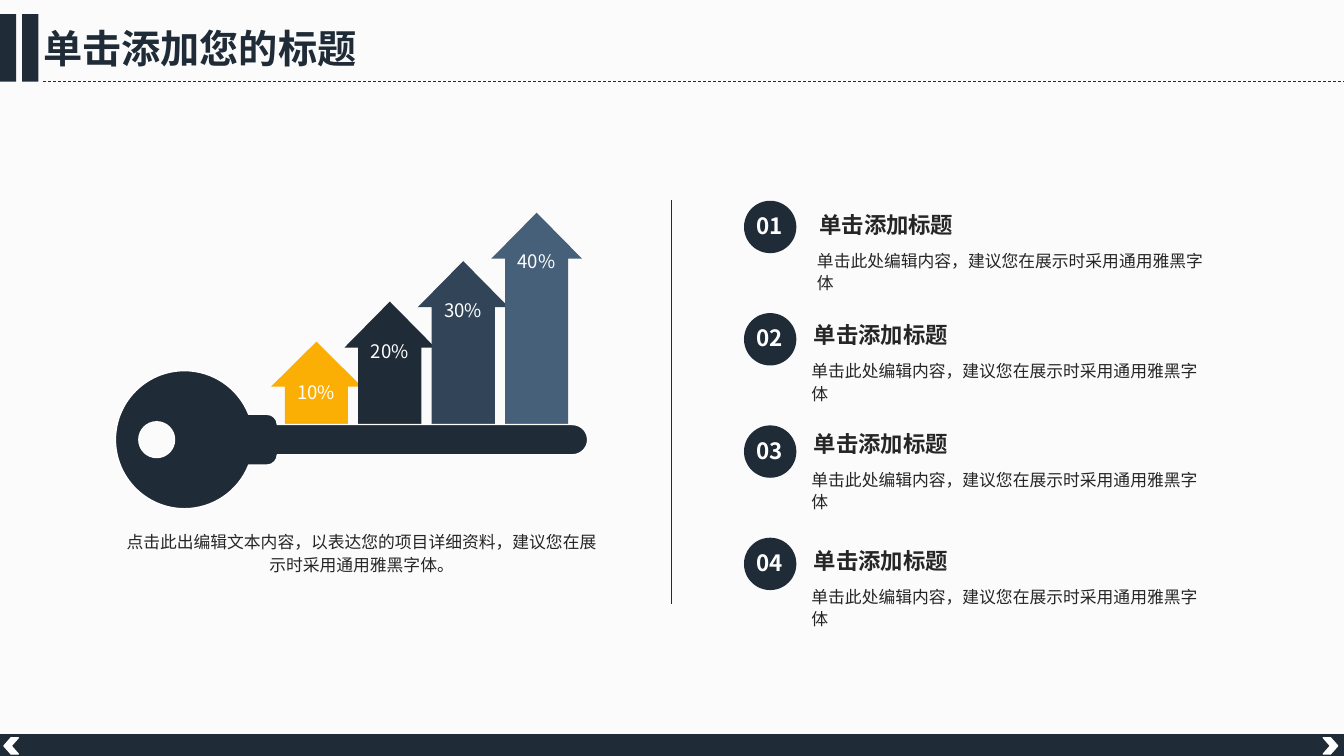
from math import asin, cos, degrees, radians, sin, tan

from lxml import etree
from pptx import Presentation
from pptx.dml.color import RGBColor
from pptx.enum.dml import MSO_LINE
from pptx.enum.shapes import MSO_CONNECTOR, MSO_SHAPE
from pptx.enum.text import MSO_ANCHOR, PP_ALIGN
from pptx.oxml.ns import qn
from pptx.util import Cm, Pt

NAVY = RGBColor(0x1F, 0x2B, 0x37)
SLATE = RGBColor(0x32, 0x45, 0x58)
STEEL = RGBColor(0x46, 0x60, 0x7A)
AMBER = RGBColor(0xFB, 0xAE, 0x03)
WHITE = RGBColor(0xFF, 0xFF, 0xFF)
PAPER = RGBColor(0xFB, 0xFB, 0xFB)
INK = RGBColor(0x26, 0x26, 0x26)
FONT = "Noto Sans CJK SC"
RECTANGLE, OVAL = MSO_SHAPE.RECTANGLE, MSO_SHAPE.OVAL
CHEVRON, UP_ARROW = MSO_SHAPE.CHEVRON, MSO_SHAPE.UP_ARROW
STRAIGHT, DASH = MSO_CONNECTOR.STRAIGHT, MSO_LINE.DASH
LEFT, CENTER = PP_ALIGN.LEFT, PP_ALIGN.CENTER
TOP, MIDDLE = MSO_ANCHOR.TOP, MSO_ANCHOR.MIDDLE

deck = Presentation()
deck.slide_width, deck.slide_height = Cm(33.87), Cm(19.05)
page = deck.slides.add_slide(deck.slide_layouts[6])
shapes = page.shapes


def add_solid(kind, left, top, width, height, color):
    shape = shapes.add_shape(kind, Cm(left), Cm(top), Cm(width), Cm(height))
    shape.shadow.inherit = False
    shape.fill.solid()
    shape.fill.fore_color.rgb = color
    shape.line.fill.background()
    return shape


def add_text(left, top, width, height, text, size, color, bold=False,
             align=LEFT, anchor=TOP, insets=(0, 0), spacing=None):
    """Add a box with one styled paragraph; insets are horizontal, vertical in cm."""
    frame = shapes.add_textbox(Cm(left), Cm(top), Cm(width), Cm(height)).text_frame
    frame.word_wrap = True
    frame.vertical_anchor = anchor
    frame.margin_left = frame.margin_right = Cm(insets[0])
    frame.margin_top = frame.margin_bottom = Cm(insets[1])
    para = frame.paragraphs[0]
    para.text = text
    para.alignment = align
    if spacing:
        para.line_spacing = spacing
    para.font.size, para.font.bold, para.font.name = Pt(size), bold, FONT
    para.font.color.rgb = color
    defaults = para._p.pPr.find(qn("a:defRPr"))
    etree.SubElement(defaults, qn("a:ea")).set("typeface", FONT)


# Backdrop, title bar and footer
add_solid(RECTANGLE, 0, 0, 33.87, 19.05, PAPER)
for left in (0, 0.56):
    add_solid(RECTANGLE, left, 0.36, 0.41, 1.7, NAVY)
add_text(0.84, 0.48, 10.36, 1.45, "单击添加您的标题", 28, NAVY, bold=True,
         insets=(0.25, 0.13))
add_solid(RECTANGLE, 0, 18.5, 33.87, 0.55, NAVY)
for left, rotation in ((33.35, 0), (0.1, 180)):
    chevron = add_solid(CHEVRON, left, 18.59, 0.36, 0.41, WHITE)
    chevron.rotation = rotation
    chevron.line.color.rgb = WHITE
    chevron.line.width = Pt(1)

# Dashed title rule and column divider
for x1, y1, x2, y2, weight, dash in (
    (1.09, 2.06, 33.87, 2.06, 0.5, DASH),
    (16.93, 5.05, 16.93, 15.21, 0.75, None),
):
    rule = shapes.add_connector(STRAIGHT, Cm(x1), Cm(y1), Cm(x2), Cm(y2))
    rule.line.color.rgb = NAVY
    rule.line.width = Pt(weight)
    rule.line.dash_style = dash
    etree.SubElement(rule._element.spPr, qn("a:effectLst"))

# Growth arrows standing on the key
ARROW_WIDTH, ARROW_PITCH, ARROW_BASE = 2.29, 1.85, 10.85
arrows = (("10%", 2.24, AMBER, 9.6), ("20%", 3.25, NAVY, 8.57),
          ("30%", 4.27, SLATE, 7.54), ("40%", 5.49, STEEL, 6.3))
for index, (_, height, color, _) in enumerate(arrows):
    arrow = add_solid(UP_ARROW, 6.83 + index * ARROW_PITCH, ARROW_BASE - height,
                      ARROW_WIDTH, height, color)
    arrow.adjustments[0], arrow.adjustments[1] = 0.695, 0.507

# Key: collar corner, shaft tip, collar corner, bow; then the hole
KEY_Y, BOW_X, BOW_RADIUS, SHAFT_HALF, CORNER = 11.08, 4.65, 1.74, 0.38, 0.26
HOLE_X, HOLE_RADIUS = 3.95, 0.45
neck = degrees(asin((SHAFT_HALF + CORNER) / BOW_RADIUS))
arcs = [  # centre x, centre y, radius, start and end angle
    (6.73, KEY_Y - SHAFT_HALF, CORNER, -90, 0),
    (14.43, KEY_Y, SHAFT_HALF, -90, 0),
    (14.43, KEY_Y, SHAFT_HALF, 0, 90),
    (6.73, KEY_Y + SHAFT_HALF, CORNER, 0, 90),
    (BOW_X, KEY_Y, BOW_RADIUS, neck, 90),
    (BOW_X, KEY_Y, BOW_RADIUS, 90, 180),
    (BOW_X, KEY_Y, BOW_RADIUS, 180, 270),
    (BOW_X, KEY_Y, BOW_RADIUS, 270, 360 - neck),
]
arcs += [(HOLE_X, KEY_Y, HOLE_RADIUS, start, start - 90)
         for start in (360, 270, 180, 90)]
points = []
for x, y, radius, start, end in arcs:
    first, last = radians(start), radians(end)
    pull = 4 / 3 * tan((last - first) / 4)
    for angle, reach in ((first, 0), (first, pull), (last, -pull), (last, 0)):
        points.append((Cm(x + radius * (cos(angle) - reach * sin(angle))),
                       Cm(y + radius * (sin(angle) + reach * cos(angle)))))
outline, hole = points[:-16], points[-16:]
builder = shapes.build_freeform(*outline[0])
builder.add_line_segments(outline[1:], close=True)
builder.move_to(*hole[0])
builder.add_line_segments(hole[1:], close=True)
key = builder.convert_to_shape()
key.shadow.inherit = False
key.fill.solid()
key.fill.fore_color.rgb = NAVY
key.line.color.rgb = WHITE
key.line.width = Pt(1)

# Every arc is a start node and three nodes that become one Bezier curve
nodes = list(key._element.iter(qn("a:moveTo"), qn("a:lnTo")))
for first in range(0, len(nodes), 4):
    curve = etree.Element(qn("a:cubicBezTo"))
    nodes[first].addnext(curve)
    for node in nodes[first + 1:first + 4]:
        curve.append(node[0])
        node.getparent().remove(node)

for index, (percent, _, _, top) in enumerate(arrows):
    add_text(7.46 + index * ARROW_PITCH, top, 1.02, 0.56, percent, 13.3, WHITE,
             align=CENTER)

add_text(2.79, 13.23, 12.65, 1.37,
         "点击此出编辑文本内容，以表达您的项目详细资料，建议您在展示时采用通用雅黑字体。",
         12, INK, align=CENTER, insets=(0.25, 0.13), spacing=1.1)

# Numbered points
items = ((20.35, 5.08), (20.21, 7.87), (20.21, 10.61), (20.21, 13.56))
for index, (left, top) in enumerate(items):
    badge_top = 5.06 + index * 2.83
    add_solid(OVAL, 18.75, badge_top, 1.32, 1.32, NAVY)
    add_text(18.87, badge_top + 0.29, 1.04, 0.69, f"{index + 1:02}", 16, WHITE,
             bold=True, align=CENTER)
    add_text(left, top, 8.2, 1.14, "单击添加标题", 16, INK, bold=True,
             anchor=MIDDLE, insets=(0.3, 0.15))
    add_text(left + 0.24, top + 1.18, 9.76, 1.09,
             "单击此处编辑内容，建议您在展示时采用通用雅黑字体", 12, INK, spacing=1.1)

deck.save("out.pptx")
